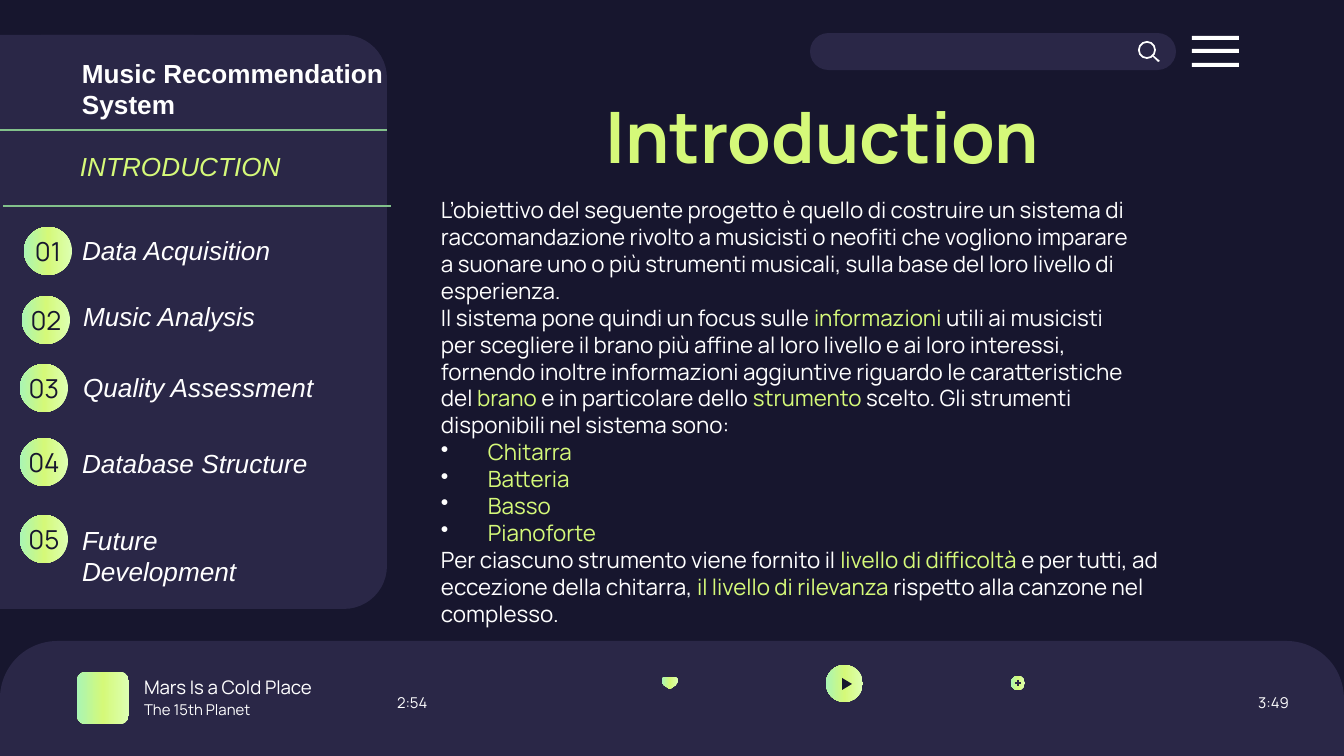
from copy import deepcopy
from dataclasses import dataclass

from lxml import etree
from pptx import Presentation
from pptx.dml.color import RGBColor
from pptx.enum.shapes import MSO_CONNECTOR as Connector, MSO_SHAPE as Shape
from pptx.enum.text import MSO_ANCHOR as Anchor, PP_ALIGN as Align
from pptx.oxml.ns import qn
from pptx.util import Emu, Pt

SCALE = 914400 / 134.4  # EMU in one px
NIGHT, PANEL, WHITE, LIME, GREEN = "17162E", "2A2747", "FFFFFF", "D5F979", "82C18B"
GLOW = [(0, "DDFFB2"), (0.5, LIME), (1, "A9F5B4")]


@dataclass
class Box:
    x: int
    y: int
    w: int
    h: int


@dataclass
class Topic:
    number: str
    name: str
    badge: tuple[int, int]
    label: Box


TOPICS = [
    Topic("01", "Data Acquisition", (24, 227), Box(69, 227, 219, 46)),
    Topic("02", "Music Analysis", (22, 296), Box(70, 293, 219, 46)),
    Topic("03", "Quality Assessment", (20, 364), Box(70, 364, 259, 46)),
    Topic("04", "Database Structure", (20, 438), Box(69, 440, 262, 46)),
    Topic("05", "Future Development", (20, 515), Box(69, 517, 250, 77)),
]

# Every second piece, split at "|", is highlighted
INTRO = [
    "L’obiettivo del seguente progetto è quello di costruire un sistema di",
    "raccomandazione rivolto a musicisti o neofiti che vogliono imparare",
    "a suonare uno o più strumenti musicali, sulla base del loro livello di",
    "esperienza.",
    "Il sistema pone quindi un focus sulle |informazioni| utili ai musicisti",
    "per scegliere il brano più affine al loro livello e ai loro interessi,",
    "fornendo inoltre informazioni aggiuntive riguardo le caratteristiche",
    "del |brano| e in particolare dello |strumento |scelto. Gli strumenti",
    "disponibili nel sistema sono:",
]
INSTRUMENTS = ["Chitarra", "Batteria", "Basso", "Pianoforte"]
CLOSING = ("Per ciascuno strumento viene fornito il |livello di difficoltà |"
           "e per tutti, ad eccezione della chitarra, |il livello di rilevanza |"
           "rispetto alla canzone nel complesso.")


def px(length: float) -> Emu:
    return Emu(round(length * SCALE))


def rgb(color: str) -> RGBColor:
    return RGBColor.from_string(color)


def place(box: Box) -> tuple[Emu, ...]:
    return px(box.x), px(box.y), px(box.w), px(box.h)


def paint(shape, color: str | None):
    """Fill with a colour, or with the glow gradient when there is none."""
    shape.shadow.inherit = False
    shape.line.fill.background()
    if color:
        shape.fill.solid()
        shape.fill.fore_color.rgb = rgb(color)
        return shape
    shape.fill.gradient()
    shape.fill.gradient_angle = 180
    stops = shape._element.spPr.find(qn("a:gradFill")).find(qn("a:gsLst"))
    stops.append(deepcopy(stops[0]))
    for stop, (position, tint) in zip(shape.fill.gradient_stops, GLOW):
        stop.position = position
        stop.color.rgb = rgb(tint)
    return shape


def add_preset(slide, kind, box: Box, color: str | None = None, adjust: tuple = ()):
    shape = slide.shapes.add_shape(kind, *place(box))
    for index, value in enumerate(adjust):
        shape.adjustments[index] = value
    return paint(shape, color)


def add_outline(slide, points: list, color: str | None = None):
    builder = slide.shapes.build_freeform(*points[0], scale=SCALE)
    builder.add_line_segments(points[1:], close=True)
    return paint(builder.convert_to_shape(), color)


def add_line(slide, start: tuple, end: tuple, color: str) -> None:
    line = slide.shapes.add_connector(Connector.STRAIGHT, *map(px, start + end))
    line.line.color.rgb = rgb(color)
    line.line.width = Pt(0.75)
    etree.SubElement(line._element.spPr, qn("a:effectLst"))


def set_frame(frame, anchor, side: int = 13, top: int = 0, bottom: int = 0) -> None:
    values = {"word_wrap": True, "vertical_anchor": anchor,
              "margin_left": px(side), "margin_right": px(side),
              "margin_top": px(top), "margin_bottom": px(bottom)}
    for name, value in values.items():
        setattr(frame, name, value)


def add_run(paragraph, text: str, size: int, color: str, font: str = "Manrope",
            **style) -> None:
    run = paragraph.add_run()
    run.text = text
    for name, value in {"name": font, "size": Pt(size), **style}.items():
        setattr(run.font, name, value)
    run.font.color.rgb = rgb(color)


def add_label(slide, box: Box, text: str, size: int, color: str = WHITE,
              anchor=Anchor.MIDDLE, side: int = 13, top: int = 0,
              align=Align.LEFT, **style) -> None:
    frame = slide.shapes.add_textbox(*place(box)).text_frame
    set_frame(frame, anchor, side, top, top)
    frame.paragraphs[0].alignment = align
    add_run(frame.paragraphs[0], text, size, color, **style)


def add_intro(slide, box: Box) -> None:
    frame = slide.shapes.add_textbox(*place(box)).text_frame
    set_frame(frame, Anchor.MIDDLE, top=13, bottom=40)
    lines = INTRO + ["|" + name for name in INSTRUMENTS] + [CLOSING]
    for index, line in enumerate(lines):
        paragraph = frame.add_paragraph() if index else frame.paragraphs[0]
        paragraph.line_spacing = Pt(14.4)
        bulleted = line.startswith("|")
        margin, indent = (67, -47) if bulleted else (20, 0)
        props = paragraph._p.get_or_add_pPr()
        props.set("marL", str(px(margin)))
        props.set("indent", str(px(indent)))
        if bulleted:
            tint = etree.SubElement(props, qn("a:buClr"))
            etree.SubElement(tint, qn("a:srgbClr")).set("val", WHITE)
            etree.SubElement(props, qn("a:buChar")).set("char", "•")
        for part, text in enumerate(line.split("|")):
            if text:
                add_run(paragraph, text, 12, LIME if part % 2 else WHITE)


def add_search_bar(slide) -> None:
    add_preset(slide, Shape.ROUNDED_RECTANGLE, Box(810, 33, 366, 37), PANEL, (0.5,))
    for row in range(3):
        add_preset(slide, Shape.RECTANGLE, Box(1192, 36 + 13 * row + row // 2, 47, 4), WHITE)
    add_preset(slide, Shape.DONUT, Box(1138, 41, 18, 18), WHITE, (0.1,))
    add_outline(slide, [(1153, 55), (1152, 56), (1158, 62), (1160, 61)], WHITE)


def add_player(slide) -> None:
    add_preset(slide, Shape.ROUND_2_SAME_RECTANGLE, Box(0, 641, 1344, 115), PANEL, (0.5, 0))
    add_preset(slide, Shape.ROUNDED_RECTANGLE, Box(77, 672, 52, 52), adjust=(0.167,))
    add_label(slide, Box(131, 676, 257, 23), "Mars Is a Cold Place", 10)
    add_label(slide, Box(131, 698, 155, 23), "The 15th Planet", 8)
    add_label(slide, Box(397, 691, 37, 23), "2:54", 8, side=0)
    add_label(slide, Box(1252, 691, 37, 23), "3:49", 8, side=0, align=Align.RIGHT)
    # Heart, play and plus buttons
    add_outline(slide, [(664, 677), (668, 677), (670, 678), (672, 677), (676, 677),
                        (678, 679), (678, 682), (676, 685), (670, 689), (664, 685),
                        (662, 682), (662, 679)])
    add_preset(slide, Shape.OVAL, Box(826, 665, 37, 37))
    add_outline(slide, [(842, 678), (842, 690), (852, 684)], NIGHT)
    add_preset(slide, Shape.OVAL, Box(1011, 676, 14, 14))
    add_line(slide, (1018, 680), (1018, 686), PANEL)
    add_line(slide, (1015, 683), (1021, 683), PANEL)


def add_sidebar(slide) -> None:
    add_preset(slide, Shape.RECTANGLE, Box(0, 35, 194, 574), PANEL)
    add_preset(slide, Shape.ROUNDED_RECTANGLE, Box(0, 35, 387, 574), PANEL, (0.111,))
    entry = {"anchor": Anchor.TOP, "top": 7, "font": "Arial"}
    add_line(slide, (0, 130), (387, 130), GREEN)
    add_label(slide, Box(69, 50, 349, 77), "Music Recommendation System", 14, bold=True, **entry)
    add_label(slide, Box(67, 143, 247, 46), "INTRODUCTION", 14, LIME, italic=True, **entry)
    add_line(slide, (3, 206), (391, 206), GREEN)
    for topic in TOPICS:
        add_label(slide, topic.label, topic.name, 14, italic=True, **entry)
        badge = add_preset(slide, Shape.OVAL, Box(*topic.badge, 48, 48))
        set_frame(badge.text_frame, Anchor.MIDDLE, side=0)
        number = badge.text_frame.paragraphs[0]
        number.alignment = Align.CENTER
        add_run(number, topic.number, 14, NIGHT)


def main() -> None:
    deck = Presentation()
    deck.slide_width, deck.slide_height = px(1344), px(756)
    slide = deck.slides.add_slide(deck.slide_layouts[5])
    slide.background.fill.solid()
    slide.background.fill.fore_color.rgb = rgb(NIGHT)

    add_search_bar(slide)
    add_player(slide)

    title = slide.shapes.title
    title.left, title.top, title.width, title.height = place(Box(437, 83, 771, 105))
    set_frame(title.text_frame, Anchor.MIDDLE)
    title.text_frame.paragraphs[0].alignment = Align.CENTER
    add_run(title.text_frame.paragraphs[0], "Introduction", 38, LIME, bold=True)

    add_intro(slide, Box(408, 214, 850, 422))
    add_sidebar(slide)
    deck.save("out.pptx")


if __name__ == "__main__":
    main()
